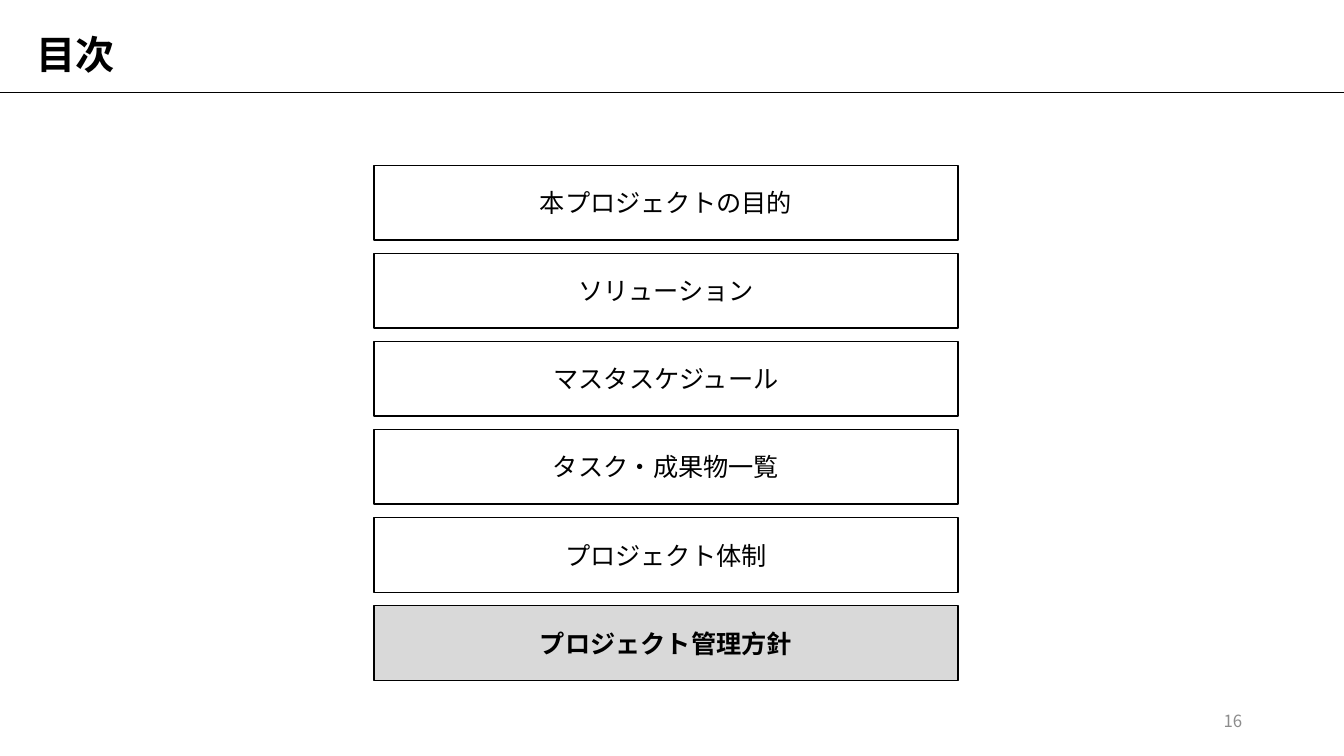
import pptx
import pptx.dml.color
import pptx.enum.shapes
import pptx.enum.text
import pptx.oxml.ns
import pptx.util
from lxml import etree

Inches, Pt = pptx.util.Inches, pptx.util.Pt
ALIGN = pptx.enum.text.PP_ALIGN
BLACK = pptx.dml.color.RGBColor(0x00, 0x00, 0x00)
WHITE = pptx.dml.color.RGBColor(0xFF, 0xFF, 0xFF)
CURRENT_FILL = pptx.dml.color.RGBColor(0xD9, 0xD9, 0xD9)
NUMBER_GREY = pptx.dml.color.RGBColor(0x8C, 0x8C, 0x8C)
FONT = "Noto Sans CJK JP"


def write(shape, text, size, color, align, bold=False):
    frame = shape.text_frame
    frame.text = text
    frame.word_wrap = True
    frame.vertical_anchor = pptx.enum.text.MSO_ANCHOR.MIDDLE
    paragraph = frame.paragraphs[0]
    paragraph.alignment = align
    font = paragraph.runs[0].font
    font.name, font.size, font.bold = FONT, Pt(size), bold
    font.color.rgb = color
    # Japanese glyphs take the East Asian typeface
    latin = font._element.find(pptx.oxml.ns.qn("a:latin"))
    east_asian = etree.Element(pptx.oxml.ns.qn("a:ea"), typeface=FONT)
    latin.addnext(east_asian)


deck = pptx.Presentation()
deck.slide_width, deck.slide_height = Inches(13.33), Inches(7.5)
slide = deck.slides.add_slide(deck.slide_layouts[5])

# Title and the rule below it
title = slide.shapes.title
title.left, title.top = Inches(0.26), Inches(0.21)
title.width, title.height = Inches(12.69), Inches(0.7)
write(title, "目次", 28, BLACK, ALIGN.LEFT, bold=True)
title.text_frame.paragraphs[0].line_spacing = 0.9

title_rule = slide.shapes.add_connector(
    pptx.enum.shapes.MSO_CONNECTOR.STRAIGHT,
    0, Inches(0.92), deck.slide_width, Inches(0.92))
title_rule.line.color.rgb = BLACK
title_rule.line.width = Pt(0.5)
etree.SubElement(title_rule._element.spPr, pptx.oxml.ns.qn("a:effectLst"))

# Agenda: equal rows, with the current chapter highlighted
chapters = ["本プロジェクトの目的", "ソリューション", "マスタスケジュール",
            "タスク・成果物一覧", "プロジェクト体制", "プロジェクト管理方針"]
current_chapter = chapters[-1]
first_row, last_row = 1.64, 6.01
row_pitch = (last_row - first_row) / (len(chapters) - 1)
for row, chapter in enumerate(chapters):
    is_current = chapter == current_chapter
    entry = slide.shapes.add_shape(
        pptx.enum.shapes.MSO_SHAPE.RECTANGLE,
        Inches(3.71), Inches(first_row + row * row_pitch),
        Inches(5.79), Inches(0.74))
    entry.shadow.inherit = False
    entry.fill.solid()
    entry.fill.fore_color.rgb = CURRENT_FILL if is_current else WHITE
    entry.line.color.rgb = BLACK
    entry.line.width = Pt(1)
    write(entry, chapter, 18, BLACK, ALIGN.CENTER, bold=is_current)

# Page number
page_number = slide.shapes.add_textbox(
    Inches(9.42), Inches(6.95), Inches(3), Inches(0.4))
write(page_number, "16", 12, NUMBER_GREY, ALIGN.RIGHT)

deck.save("out.pptx")
